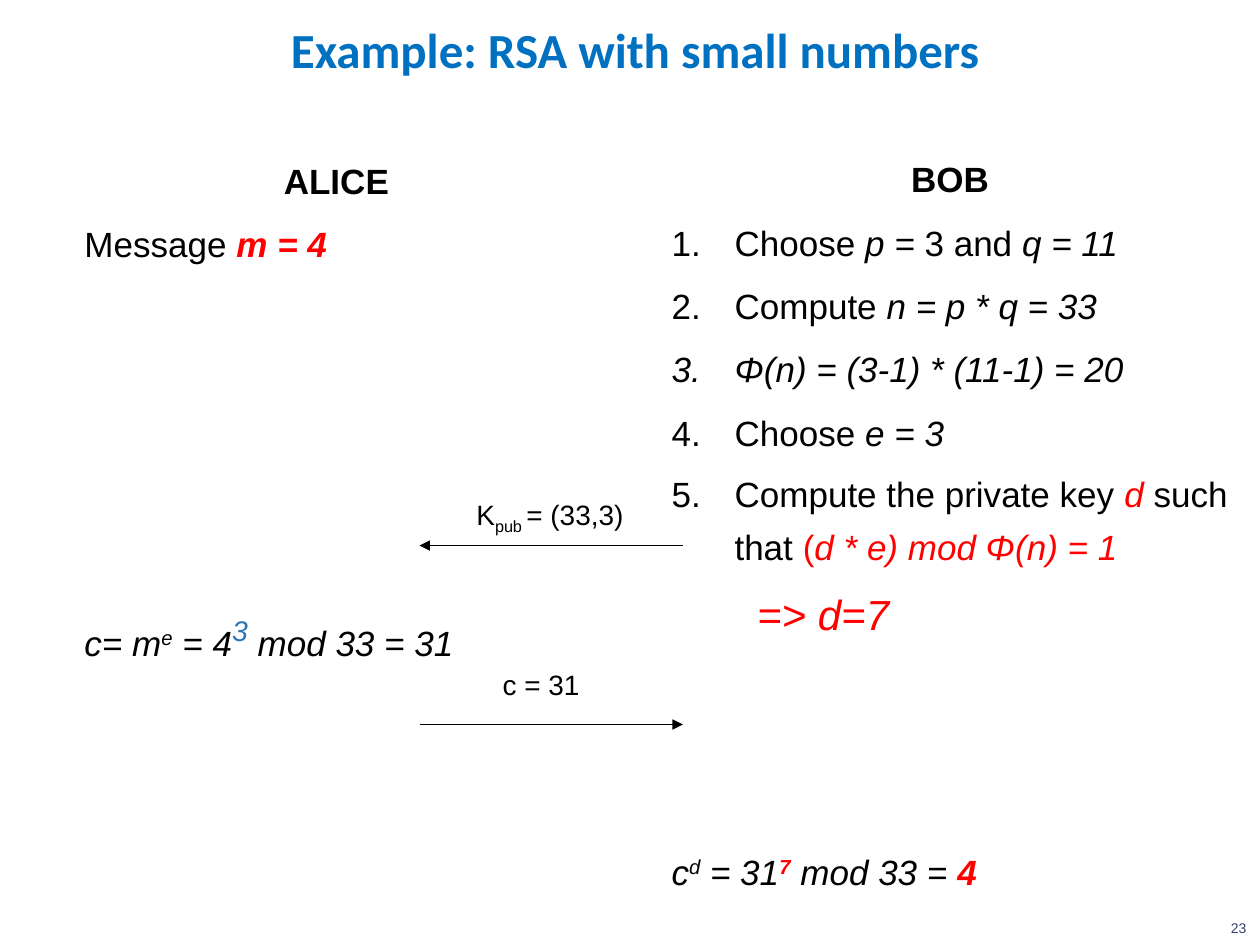
from dataclasses import dataclass

from lxml.etree import SubElement
from pptx import Presentation
from pptx.dml.color import RGBColor
from pptx.enum.shapes import MSO_CONNECTOR
from pptx.enum.text import MSO_ANCHOR, PP_ALIGN
from pptx.oxml.ns import qn
from pptx.util import Inches, Pt


@dataclass(frozen=True)
class Theme:
    title_font: str = "Calibri"
    body_font: str = "Arial"
    title_color: str = "0070C0"
    ink: str = "000000"
    accent: str = "FF0000"
    exponent: str = "2E75B6"
    page_color: str = "394073"
    title_size: int = 28
    body_size: int = 20
    result_size: int = 24
    label_size: int = 16
    page_size: int = 8
    line_width: float = 0.75
    line_spacing: float = 1.25
    step_gap: float = 6.2
    key_gap: float = 5


THEME = Theme()
HANGING = 0.5
SUPERSCRIPT, SUBSCRIPT = 30, -25


def add_box(slide, left, top, width, height, margin=None):
    frame = slide.shapes.add_textbox(
        Inches(left), Inches(top), Inches(width), Inches(height)
    ).text_frame
    frame.word_wrap = True
    if margin is not None:
        frame.margin_left = frame.margin_right = Inches(margin)
        frame.margin_top = frame.margin_bottom = Inches(margin)
    return frame


def add_run(paragraph, text, size=THEME.body_size, color=THEME.ink,
            bold=False, italic=False, baseline=0, font=THEME.body_font):
    run = paragraph.add_run()
    run.text = text
    run.font.name = font
    run.font.size = Pt(size)
    run.font.bold = bold
    run.font.italic = italic
    run.font.color.rgb = RGBColor.from_string(color)
    if baseline:
        run.font._element.set("baseline", str(baseline * 1000))


def add_runs(paragraph, runs):
    for text, style in runs:
        add_run(paragraph, text, **style)


def add_heading(frame, name):
    heading = frame.paragraphs[0]
    heading.alignment = PP_ALIGN.CENTER
    heading.line_spacing = THEME.line_spacing
    add_run(heading, name, bold=True)


def add_step(frame, runs, gap=THEME.step_gap, numbered=False, left=HANGING,
             hang=HANGING):
    step = frame.add_paragraph()
    step.line_spacing = THEME.line_spacing
    step.space_before = Pt(gap)
    properties = step._p.get_or_add_pPr()
    properties.set("marL", str(Inches(left)))
    properties.set("indent", str(-Inches(hang)))
    if numbered:
        SubElement(properties, qn("a:buFont"), typeface="+mj-lt")
        SubElement(properties, qn("a:buAutoNum"), type="arabicPeriod")
    add_runs(step, runs)


def add_message(slide, start, end, y, label_left, label_top, runs):
    arrow = slide.shapes.add_connector(
        MSO_CONNECTOR.STRAIGHT, Inches(start), Inches(y), Inches(end), Inches(y)
    )
    arrow.line.color.rgb = RGBColor.from_string(THEME.ink)
    arrow.line.width = Pt(THEME.line_width)
    SubElement(arrow.line._get_or_add_ln(), qn("a:tailEnd"), type="triangle")
    SubElement(arrow._element.spPr, qn("a:effectLst"))
    label = add_box(slide, label_left, label_top, 1.93, 0.37).paragraphs[0]
    label.alignment = PP_ALIGN.CENTER
    add_runs(label, runs)


def add_title(slide, text):
    frame = add_box(slide, 0.25, 0.02, 9.58, 0.73)
    frame.vertical_anchor = MSO_ANCHOR.MIDDLE
    title = frame.paragraphs[0]
    title.alignment = PP_ALIGN.CENTER
    add_run(title, text, THEME.title_size, THEME.title_color, bold=True,
            font=THEME.title_font)


def add_alice(slide):
    alice = add_box(slide, 0.67, 1.18, 4, 5.51, 0)
    italic = {"italic": True}
    add_heading(alice, "ALICE")
    add_step(alice, [
        ("Message ", {}),
        ("m = 4", {"color": THEME.accent, "bold": True, "italic": True}),
    ])
    add_step(alice, [
        ("c= m", italic),
        ("e", {"italic": True, "baseline": SUPERSCRIPT}),
        (" = 4", italic),
        ("3", {"size": THEME.title_size, "color": THEME.exponent,
               "italic": True, "baseline": SUPERSCRIPT}),
        (" mod 33 = 31", italic),
    ], gap=187.5)


def add_bob(slide):
    bob = add_box(slide, 5.33, 1.17, 4.42, 5.51, 0)
    italic = {"italic": True}
    red = {"color": THEME.accent}
    red_italic = red | italic
    add_heading(bob, "BOB")
    for runs in (
        [("Choose ", {}), ("p =", italic), (" 3 and ", {}), ("q = 11", italic)],
        [("Compute ", {}), ("n = p * q = 33", italic)],
        [("Φ(n) = (3-1) * (11-1) = 20", italic)],
        [("Choose ", {}), ("e = 3", italic)],
    ):
        add_step(bob, runs, numbered=True)
    add_step(bob, [
        ("Compute the private key ", {}), ("d ", red_italic),
        ("such that ", {}), ("(", red), ("d * e) mod Φ(n) = 1", red_italic),
    ], gap=THEME.key_gap, numbered=True)
    add_step(bob, [("=> d=7", red_italic | {"size": THEME.result_size})],
             gap=THEME.key_gap, left=0.68, hang=0)
    add_step(bob, [
        ("c", italic),
        ("d", {"italic": True, "baseline": SUPERSCRIPT}),
        (" = 31", italic),
        ("7", red_italic | {"bold": True, "baseline": SUPERSCRIPT}),
        (" mod 33 = ", italic),
        ("4", red_italic | {"bold": True}),
    ], gap=115)


def main():
    deck = Presentation()
    deck.slide_width, deck.slide_height = Inches(10), Inches(7.5)
    slide = deck.slides.add_slide(deck.slide_layouts[6])
    add_title(slide, "Example: RSA with small numbers")
    page = add_box(slide, 9.67, 7.25, 0.33, 0.24).paragraphs[0]
    add_run(page, "23", THEME.page_size, THEME.page_color)
    add_alice(slide)
    add_bob(slide)
    label = {"size": THEME.label_size}
    add_message(slide, 5.42, 3.33, 4.33, 3.4, 3.9, [
        ("K", label), ("pub ", label | {"baseline": SUBSCRIPT}),
        ("= (33,3)", label),
    ])
    add_message(slide, 3.33, 5.42, 5.75, 3.33, 5.25, [("c = 31", label)])
    deck.save("out.pptx")


if __name__ == "__main__":
    main()
